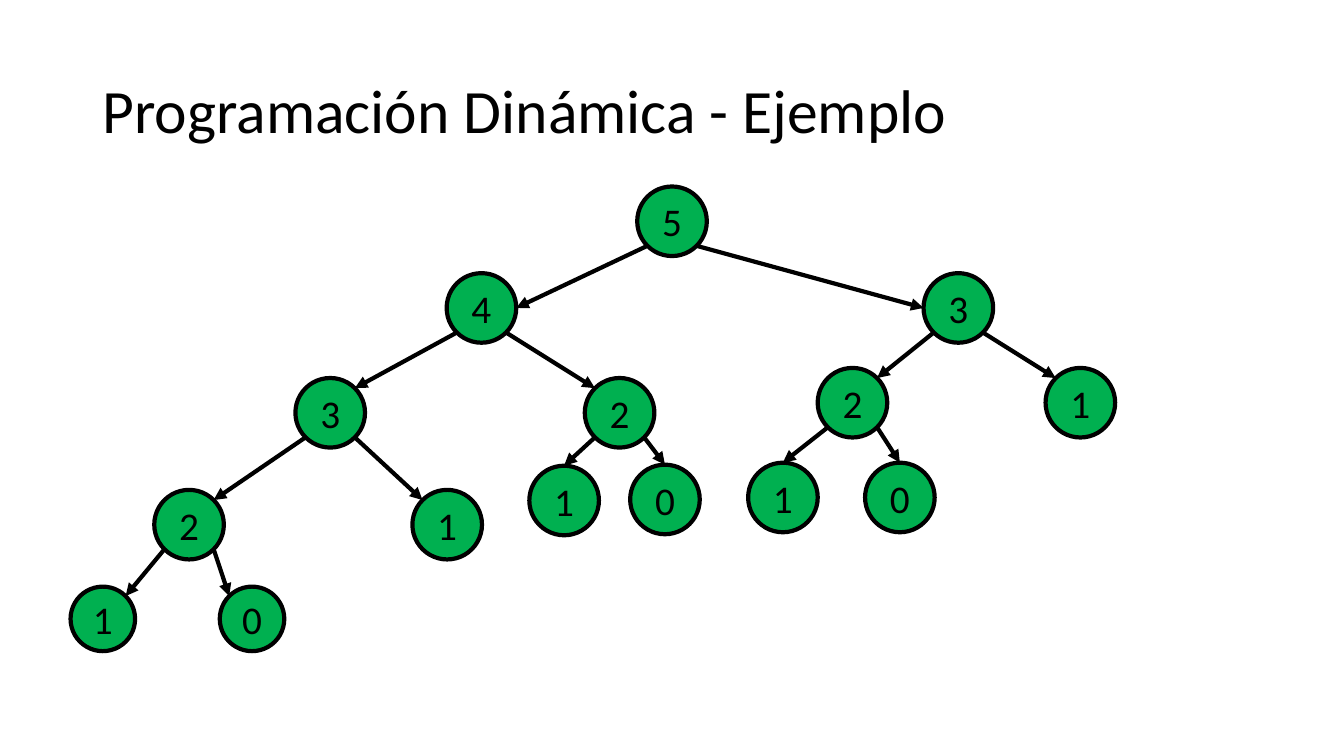
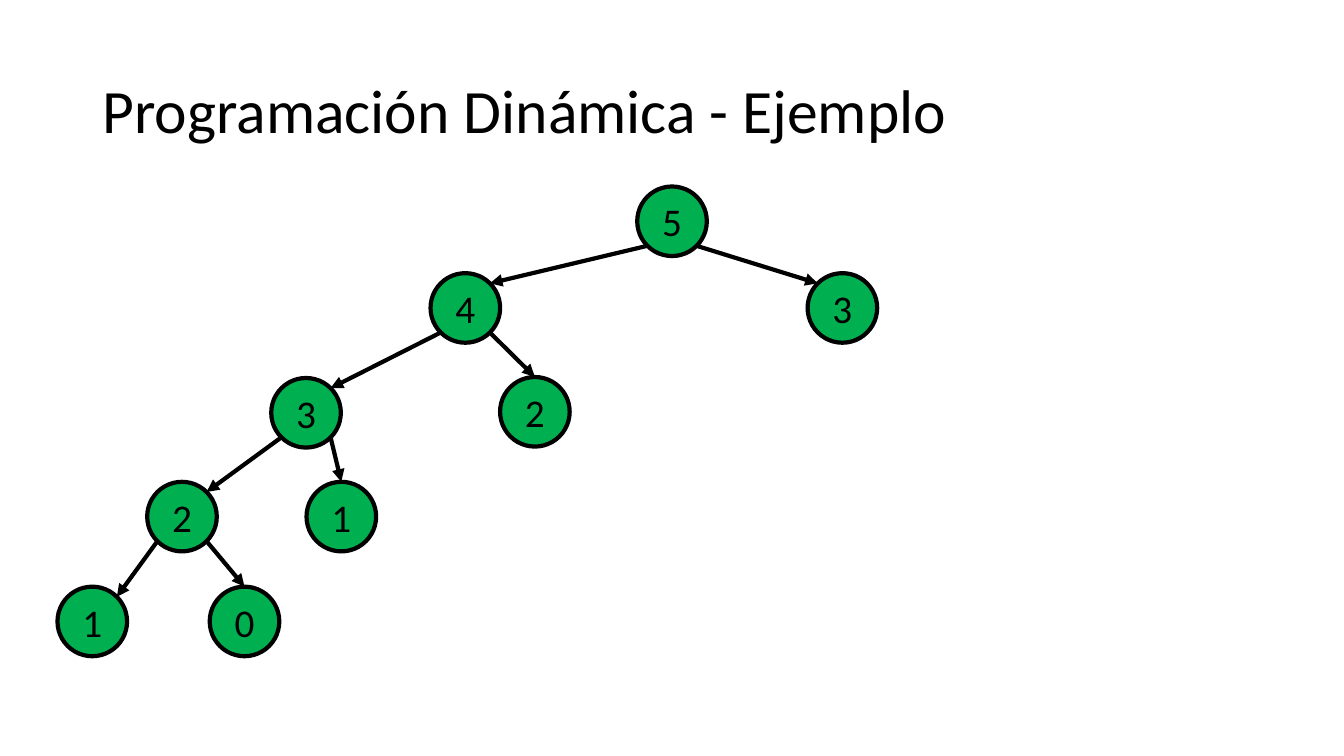
from dataclasses import dataclass
from enum import Enum
from math import sqrt

from lxml import etree
from pptx import Presentation
from pptx.dml.color import RGBColor
from pptx.enum import shapes, text
from pptx.oxml.ns import qn
from pptx.util import Inches, Pt

# Shared style
GREEN = RGBColor(0x00, 0xB0, 0x50)
BLACK = RGBColor(0x00, 0x00, 0x00)
FONT = "Calibri"
TITLE = "Programación Dinámica - Ejemplo"
LINE_WIDTH = Pt(3)
SMALL = 0.64
DIAGONAL = sqrt(0.5)


class Site(Enum):
    """Point on a circle, as a direction from its centre."""
    TOP = (0, -1)
    LEFT = (-1, 0)
    RIGHT = (1, 0)
    TOP_LEFT = (-DIAGONAL, -DIAGONAL)
    TOP_RIGHT = (DIAGONAL, -DIAGONAL)
    BOTTOM_LEFT = (-DIAGONAL, DIAGONAL)
    BOTTOM_RIGHT = (DIAGONAL, DIAGONAL)


@dataclass(frozen=True)
class Node:
    value: int
    left: float
    top: float
    entry: Site = Site.TOP
    children: tuple["Node", ...] = ()
    size: float = 0.69

    def point(self, site: Site) -> tuple[float, float]:
        radius = self.size / 2
        dx, dy = site.value
        return self.left + radius * (1 + dx), self.top + radius * (1 + dy)


# Call trees: full recursion, then recursion with stored results
FULL_TREE = Node(5, 6.32, 1.85, children=(
    Node(4, 4.43, 2.71, Site.RIGHT, (
        Node(3, 2.93, 3.75, Site.TOP_RIGHT, (
            Node(2, 1.53, 4.86, Site.TOP_RIGHT, (
                Node(1, 0.7, 5.82, Site.TOP_RIGHT, size=SMALL),
                Node(0, 2.18, 5.82, Site.TOP_LEFT, size=SMALL),
            )),
            Node(1, 4.09, 4.86, Site.TOP_LEFT),
        )),
        Node(2, 5.8, 3.75, Site.TOP_LEFT, (
            Node(1, 5.25, 4.62),
            Node(0, 6.25, 4.61),
        )),
    )),
    Node(3, 9.16, 2.71, Site.LEFT, (
        Node(2, 8.11, 3.65, Site.TOP_RIGHT, (
            Node(1, 7.42, 4.59),
            Node(0, 8.58, 4.59),
        )),
        Node(1, 10.37, 3.65, Site.TOP_LEFT),
    )),
))

STORED_TREE = Node(5, 6.32, 1.85, children=(
    Node(4, 4.27, 2.71, Site.TOP_RIGHT, (
        Node(3, 2.69, 3.75, Site.TOP_RIGHT, (
            Node(2, 1.46, 4.78, Site.TOP_RIGHT, (
                Node(1, 0.57, 5.82, Site.TOP_RIGHT),
                Node(0, 2.08, 5.82),
            )),
            Node(1, 3.04, 4.78),
        )),
        Node(2, 4.96, 3.74),
    )),
    Node(3, 8.01, 2.71, Site.TOP_LEFT),
))


def style_text(tf, value: str, size: int):
    tf.vertical_anchor = text.MSO_ANCHOR.MIDDLE
    p = tf.paragraphs[0]
    p.text = value
    p.font.name = FONT
    p.font.size = Pt(size)
    p.font.color.rgb = BLACK
    return p


def add_title(slide) -> None:
    sp = slide.shapes.add_textbox(Inches(0.92), Inches(0.4), Inches(11.5), Inches(1.45))
    sp.text_frame.word_wrap = True
    style_text(sp.text_frame, TITLE, 44).line_spacing = 0.9


def add_circle(slide, node: Node) -> None:
    sp = slide.shapes.add_shape(
        shapes.MSO_SHAPE.OVAL, Inches(node.left), Inches(node.top),
        Inches(node.size), Inches(node.size))
    sp.shadow.inherit = False
    sp.fill.solid()
    sp.fill.fore_color.rgb = GREEN
    sp.line.color.rgb = BLACK
    sp.line.width = LINE_WIDTH
    p = style_text(sp.text_frame, str(node.value), 28)
    p.alignment = text.PP_ALIGN.CENTER


def add_arrow(slide, parent: Node, child: Node) -> None:
    leave = Site.BOTTOM_LEFT if child is parent.children[0] else Site.BOTTOM_RIGHT
    ends = (*parent.point(leave), *child.point(child.entry))
    line = slide.shapes.add_connector(
        shapes.MSO_CONNECTOR.STRAIGHT, *(Inches(v) for v in ends))
    line.line.color.rgb = BLACK
    line.line.width = LINE_WIDTH
    sp_pr = line._element.spPr
    etree.SubElement(sp_pr.find(qn("a:ln")), qn("a:tailEnd"), type="triangle")
    etree.SubElement(sp_pr, qn("a:effectLst"))


def add_tree(slide, node: Node) -> None:
    add_circle(slide, node)
    for child in node.children:
        add_tree(slide, child)
        add_arrow(slide, node, child)


def main() -> None:
    prs = Presentation()
    prs.slide_width = Inches(13.33)
    prs.slide_height = Inches(7.5)
    for tree in (FULL_TREE, STORED_TREE):
        slide = prs.slides.add_slide(prs.slide_layouts[6])
        add_title(slide)
        add_tree(slide, tree)
    prs.save("out.pptx")


if __name__ == "__main__":
    main()
